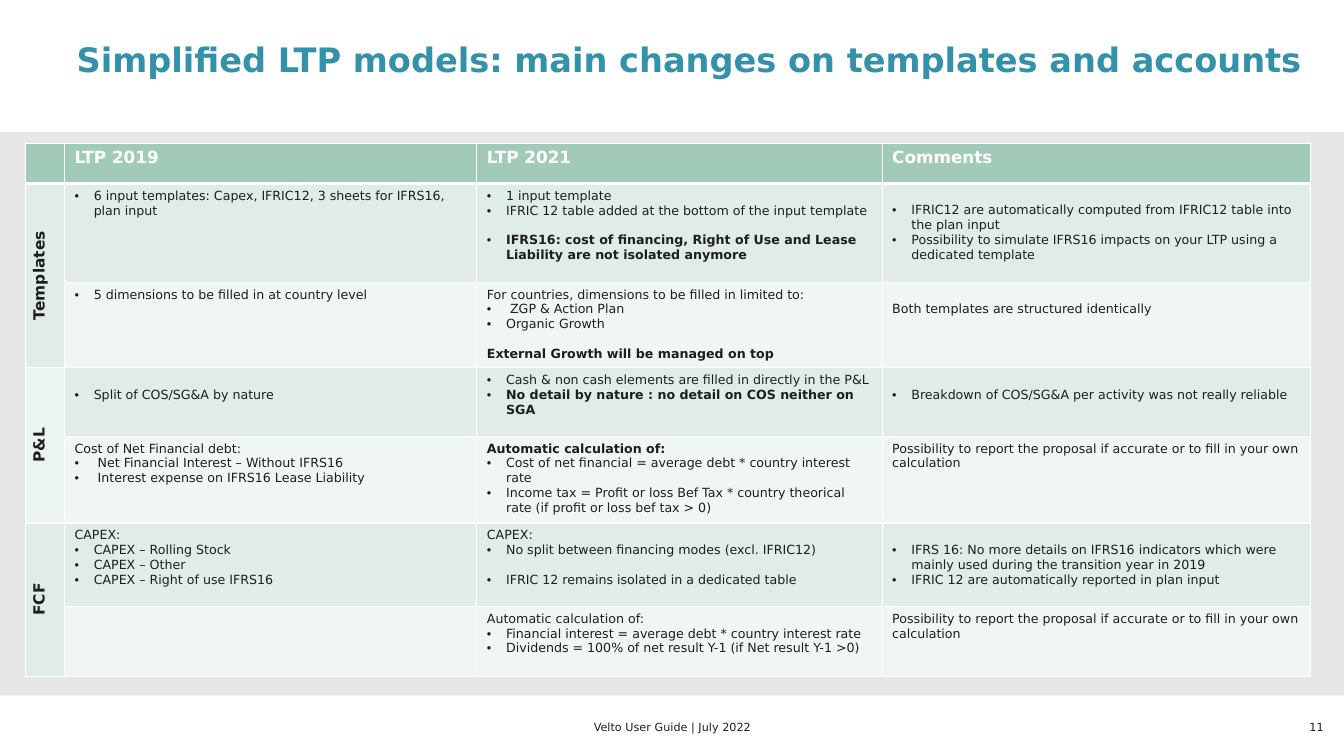
from dataclasses import dataclass

from lxml.etree import SubElement
from pptx import Presentation
from pptx.dml.color import RGBColor
from pptx.enum.shapes import MSO_SHAPE as Shape
from pptx.enum.text import MSO_ANCHOR as Anchor, PP_ALIGN as Align
from pptx.oxml.ns import qn
from pptx.util import Inches, Pt


@dataclass(frozen=True)
class Theme:
    font: str = "DejaVu Sans"
    title: str = "3391AA"
    text: str = "1E1E1E"
    white: str = "FFFFFF"
    panel: str = "E7E7E8"
    header: str = "A2CAB8"
    band_dark: str = "E0ECE6"
    band_mid: str = "ECF4F1"
    band_light: str = "F0F6F3"
    title_size: float = 24
    header_size: float = 12
    section_size: float = 11
    body_size: float = 9
    footer_size: float = 8
    line_gap: float = 10.5


@dataclass(frozen=True)
class Line:
    text: str
    bullet: bool = False
    bold: bool = False
    gap: bool = False


def bullet(text, **options):
    return Line(text, bullet=True, **options)


@dataclass(frozen=True)
class Entry:
    """Lines of one body cell; a lowered entry starts one line further down."""
    lines: tuple
    lowered: bool = False


def entry(*lines, lowered=False):
    return Entry(lines, lowered)


PROPOSAL = entry(Line("Possibility to report the proposal if accurate or to fill in your own calculation"))
HEADINGS = ["", "LTP 2019", "LTP 2021", "Comments"]
COLUMN_WIDTHS = [0.39, 4.09, 4.02, 4.25]
ROW_HEIGHTS = [0.39, 0.98, 0.83, 0.68, 0.86, 0.83, 0.69]
SECTIONS = {
    "Templates": [
        [entry(bullet("6 input templates: Capex, IFRIC12, 3 sheets for IFRS16, plan input")),
         entry(bullet("1 input template"),
               bullet("IFRIC 12 table added at the bottom of the input template"),
               bullet("IFRS16: cost of financing, Right of Use and Lease Liability are not isolated anymore",
                      bold=True, gap=True)),
         entry(bullet("IFRIC12 are automatically computed from IFRIC12 table into the plan input"),
               bullet("Possibility to simulate IFRS16 impacts on your LTP using a dedicated template"),
               lowered=True)],
        [entry(bullet("5 dimensions to be filled in at country level")),
         entry(Line("For countries, dimensions to be filled in limited to:"),
               bullet(" ZGP & Action Plan"),
               bullet("Organic Growth"),
               Line("External Growth will be managed on top", bold=True, gap=True)),
         entry(Line("Both templates are structured identically"), lowered=True)],
    ],
    "P&L": [
        [entry(bullet("Split of COS/SG&A by nature"), lowered=True),
         entry(bullet("Cash & non cash elements are filled in directly in the P&L"),
               bullet("No detail by nature : no detail on COS neither on SGA", bold=True)),
         entry(bullet("Breakdown of COS/SG&A per activity was not really reliable"), lowered=True)],
        [entry(Line("Cost of Net Financial debt:"),
               bullet(" Net Financial Interest – Without IFRS16"),
               bullet(" Interest expense on IFRS16 Lease Liability")),
         entry(Line("Automatic calculation of:", bold=True),
               bullet("Cost of net financial = average debt * country interest rate"),
               bullet("Income tax = Profit or loss Bef Tax * country theorical rate "
                      "(if profit or loss bef tax > 0)")),
         PROPOSAL],
    ],
    "FCF": [
        [entry(Line("CAPEX:"),
               bullet("CAPEX – Rolling Stock"),
               bullet("CAPEX – Other"),
               bullet("CAPEX – Right of use IFRS16")),
         entry(Line("CAPEX:"),
               bullet("No split between financing modes (excl. IFRIC12)"),
               bullet("IFRIC 12 remains isolated in a dedicated table", gap=True)),
         entry(bullet("IFRS 16: No more details on IFRS16 indicators which were mainly used "
                      "during the transition year in 2019"),
               bullet("IFRIC 12 are automatically reported in plan input"),
               lowered=True)],
        [entry(Line("")),
         entry(Line("Automatic calculation of:"),
               bullet("Financial interest = average debt * country interest rate"),
               bullet("Dividends = 100% of net result Y-1 (if Net result Y-1 >0)")),
         PROPOSAL],
    ],
}


def write(p, text, *, theme, size, color, bold=False, align=Align.LEFT, spacing=None):
    p.alignment = align
    if spacing:
        p.line_spacing = spacing
    r = p.add_run()
    r.text = text
    r.font.name = theme.font
    r.font.size = Pt(size)
    r.font.bold = bold
    r.font.color.rgb = RGBColor.from_string(color)


def add_bullet(p):
    props = p._p.get_or_add_pPr()
    props.set("marL", str(Inches(0.19)))
    props.set("indent", str(-Inches(0.19)))
    SubElement(props, qn("a:buFont"), typeface="Arial")
    SubElement(props, qn("a:buChar"), char="•")


class SlideBuilder:
    def __init__(self, slide, theme):
        self.s = slide
        self.theme = theme

    def panel(self, left, top, width, height):
        sp = self.s.shapes.add_shape(Shape.RECTANGLE, *map(Inches, (left, top, width, height)))
        sp.shadow.inherit = False
        sp.fill.solid()
        sp.fill.fore_color.rgb = RGBColor.from_string(self.theme.panel)
        sp.line.fill.background()

    def text(self, box, text, *, anchor=Anchor.BOTTOM, wrap=True, **style):
        tf = self.s.shapes.add_textbox(*map(Inches, box)).text_frame
        tf.word_wrap = wrap
        tf.vertical_anchor = anchor
        tf.margin_left = tf.margin_right = Inches(0.04)
        tf.margin_top = tf.margin_bottom = 0
        write(tf.paragraphs[0], text, theme=self.theme, **style)

    def table(self, left, top, widths, heights):
        frame = self.s.shapes.add_table(len(heights), len(widths), Inches(left), Inches(top),
                                        Inches(sum(widths)), Inches(sum(heights)))
        table = frame.table
        table.first_row = table.horz_banding = False
        for column, width in zip(table.columns, widths):
            column.width = Inches(width)
        for row, height in zip(table.rows, heights):
            row.height = Inches(height)
        return table

    def cell(self, cell, fill, bottom=1):
        """Give a cell its white borders and its fill."""
        props = cell._tc.get_or_add_tcPr()
        for side, width in (("L", 1), ("R", 1), ("T", 1), ("B", bottom)):
            line = SubElement(props, qn(f"a:ln{side}"), w=str(Pt(width)))
            SubElement(SubElement(line, qn("a:solidFill")), qn("a:srgbClr"), val=self.theme.white)
        cell.fill.solid()
        cell.fill.fore_color.rgb = RGBColor.from_string(fill)

    def header_cell(self, cell, text):
        t = self.theme
        self.cell(cell, t.header, bottom=3)
        write(cell.text_frame.paragraphs[0], text, theme=t, size=t.header_size,
              color=t.white, bold=True)

    def section_cell(self, top_cell, low_cell, text, fill):
        t = self.theme
        for cell in (top_cell, low_cell):
            self.cell(cell, fill)
        top_cell.merge(low_cell)
        top_cell._tc.get_or_add_tcPr().set("vert", "vert270")
        write(top_cell.text_frame.paragraphs[0], text, theme=t, size=t.section_size,
              color=t.text, bold=True, align=Align.CENTER)

    def body_cell(self, cell, content, fill):
        t = self.theme
        self.cell(cell, fill)
        if content.lowered:
            cell.margin_top = Inches(0.05) + Pt(t.line_gap)
        tf = cell.text_frame
        for i, line in enumerate(content.lines):
            p = tf.add_paragraph() if i else tf.paragraphs[0]
            if line.gap:
                p.space_before = Pt(t.line_gap)
            if line.bullet:
                add_bullet(p)
            write(p, line.text, theme=t, size=t.body_size, color=t.text, bold=line.bold)


def main():
    prs = Presentation()
    prs.slide_width, prs.slide_height = Inches(13.33), Inches(7.5)
    t = Theme()
    b = SlideBuilder(prs.slides.add_slide(prs.slide_layouts[6]), t)

    footer = dict(size=t.footer_size, color=t.text)
    b.text((12.84, 7.15, 0.33, 0.13), "11", wrap=False, align=Align.RIGHT, **footer)
    b.panel(0, 1.31, 13.33, 5.59)
    b.text((0.72, 0.17, 12.32, 0.89), "Simplified LTP models: main changes on templates and accounts",
           anchor=Anchor.MIDDLE, size=t.title_size, color=t.title, bold=True, spacing=0.9)
    b.text((4.11, 7.15, 5.12, 0.13), "Velto User Guide | July 2022", align=Align.CENTER, **footer)

    table = b.table(0.25, 1.42, COLUMN_WIDTHS, ROW_HEIGHTS)
    for col, heading in enumerate(HEADINGS):
        b.header_cell(table.cell(0, col), heading)
    section_fills = (t.band_dark, t.band_mid, t.band_dark)
    for i, (name, rows) in enumerate(SECTIONS.items()):
        first = 1 + 2 * i
        b.section_cell(table.cell(first, 0), table.cell(first + 1, 0), name, section_fills[i])
        for row, (entries, fill) in enumerate(zip(rows, (t.band_dark, t.band_light)), first):
            for col, content in enumerate(entries, 1):
                b.body_cell(table.cell(row, col), content, fill)

    prs.save("out.pptx")


if __name__ == "__main__":
    main()
